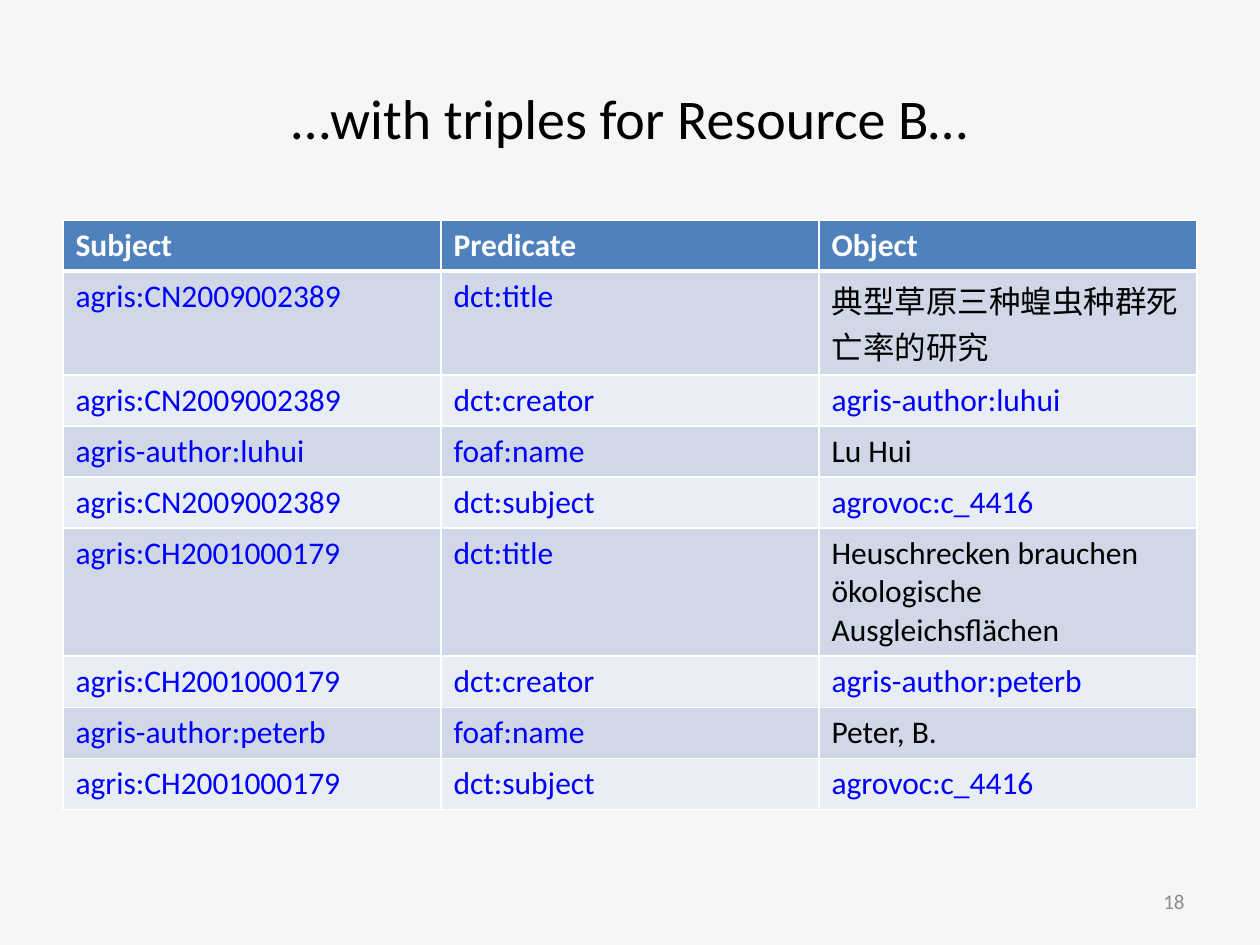
"""Build the slide that lists the triples for Resource B."""
import pptx
import pptx.dml.color
import pptx.enum.text
import pptx.oxml
import pptx.oxml.ns
import pptx.util

COLORS = {
    "background": "F6F6F6",
    "text": "000000",
    "resource": "0000FF",
    "number": "8C8C8C",
    "header": "4F81BD",
    "odd": "D0D8E8",
    "even": "E9EDF4",
    "white": "FFFFFF",
}
ALIGN = pptx.enum.text.PP_ALIGN
MIDDLE = pptx.enum.text.MSO_ANCHOR.MIDDLE
HEADERS = ["Subject", "Predicate", "Object"]
RECORDS = [
    ("agris:CN2009002389", "agris-author:luhui", "典型草原三种蝗虫种群死亡率的研究", "Lu Hui"),
    ("agris:CH2001000179", "agris-author:peterb",
     "Heuschrecken brauchen ökologische Ausgleichsflächen", "Peter, B."),
]
ROW_HEIGHTS = [51, 88, 51, 51, 51, 126, 51, 51, 51]


def px(length):
    return pptx.util.Emu(round(length * 914400 / 126))


def rgb(name):
    return pptx.dml.color.RGBColor.from_string(COLORS[name])


def triples(record):
    resource, author, title, name = record
    return [
        (resource, "dct:title", title),
        (resource, "dct:creator", author),
        (author, "foaf:name", name),
        (resource, "dct:subject", "agrovoc:c_4416"),
    ]


class SlideBuilder:
    font = "Calibri"

    def __init__(self, slide):
        self.slide = slide
        fill = slide.background.fill
        fill.solid()
        fill.fore_color.rgb = rgb("background")

    def add_text(self, frame, text, size, color, align=ALIGN.LEFT, bold=False):
        para = frame.paragraphs[0]
        para.alignment = align
        span = para.add_run()
        span.text = text
        span.font.name = self.font
        span.font.size = pptx.util.Pt(size)
        span.font.bold = bold
        span.font.color.rgb = rgb(color)

    def title(self, text, left, top, width, height):
        box = self.slide.shapes.title
        box.left, box.top, box.width, box.height = map(px, (left, top, width, height))
        box.text_frame.vertical_anchor = MIDDLE
        self.add_text(box.text_frame, text, 32, "text", ALIGN.CENTER)

    def label(self, text, left, top, width, height):
        box = self.slide.shapes.add_textbox(*map(px, (left, top, width, height)))
        box.text_frame.word_wrap = True
        box.text_frame.vertical_anchor = MIDDLE
        self.add_text(box.text_frame, text, 12, "number", ALIGN.RIGHT)

    def border(self, cell, side, points):
        line = pptx.oxml.parse_xml(
            f'<a:ln{side} {pptx.oxml.ns.nsdecls("a")} w="{pptx.util.Pt(points)}">'
            f'<a:solidFill><a:srgbClr val="{COLORS["white"]}"/></a:solidFill></a:ln{side}>'
        )
        cell._tc.get_or_add_tcPr().append(line)

    def cell(self, cell, text, fill, color, header):
        for side in "LRTB":
            self.border(cell, side, 3 if header and side == "B" else 1)
        cell.fill.solid()
        cell.fill.fore_color.rgb = rgb(fill)
        self.add_text(cell.text_frame, text, 18, color, bold=header)

    def table(self, rows, heights, left, top, width):
        frame = self.slide.shapes.add_table(
            len(rows), len(rows[0]), *map(px, (left, top, width, sum(heights))))
        table = frame.table
        table.horz_banding = False
        for row, height in zip(table.rows, heights):
            row.height = px(height)
        for r, values in enumerate(rows):
            header = r == 0
            fill = "header" if header else ("odd" if r % 2 else "even")
            for c, text in enumerate(values):
                color = "white" if header else ("resource" if ":" in text else "text")
                self.cell(table.cell(r, c), text, fill, color, header)


def main():
    deck = pptx.Presentation()
    deck.slide_width, deck.slide_height = px(1260), px(945)
    page = SlideBuilder(deck.slides.add_slide(deck.slide_layouts[5]))
    page.title("…with triples for Resource B…", 63, 38, 1134, 158)
    rows = [HEADERS] + [row for record in RECORDS for row in triples(record)]
    page.table(rows, ROW_HEIGHTS, 63, 220, 1134)
    page.label("18", 903, 876, 294, 50)
    deck.save("out.pptx")


if __name__ == "__main__":
    main()
